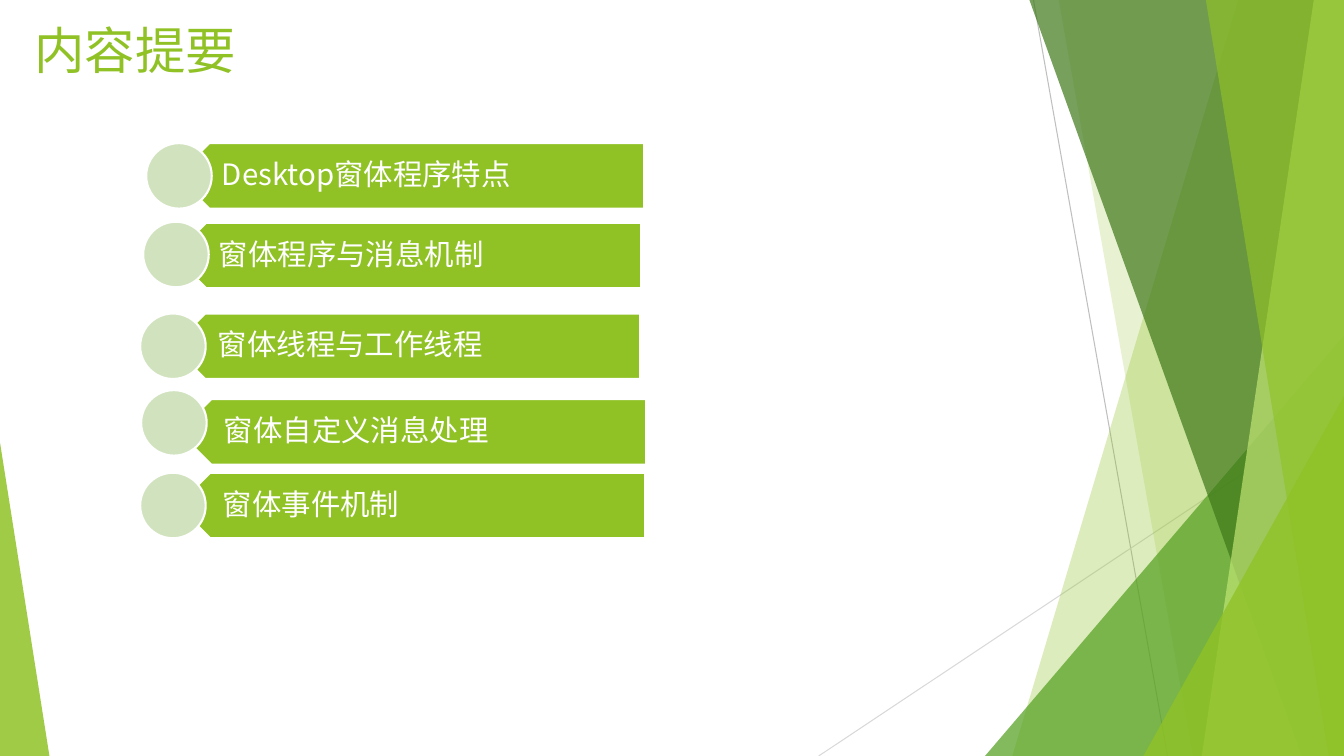
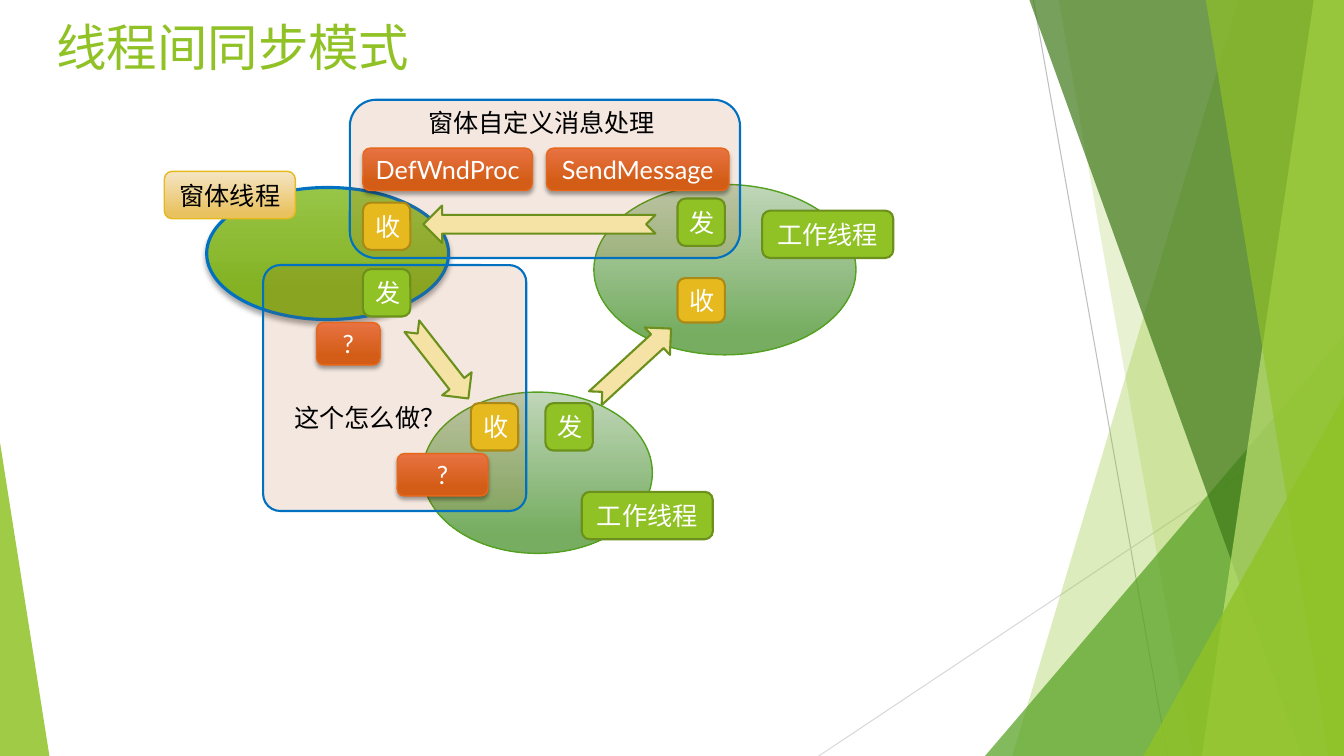
from lxml import etree
from pptx import Presentation
from pptx import util as u
from pptx.dml.color import RGBColor
from pptx.enum import shapes, text
from pptx.oxml.ns import qn

PX = 9144  # 100 px to the inch
WIDE, HIGH = 1333, 750
HAN, LATIN = "Noto Sans CJK SC", "Lato"
HUES = {
    "lime": "90C226", "grass": "54A021", "forest": "3F7819", "pale": "C0E474",
    "mint": "D1E3BE", "olive": "6B901C", "gold": "E6B91E", "bronze": "AA8916",
    "cream": "F5E3A5", "rust": "AD4C12", "flame": "E76618", "blue": "0070C0",
    "gray": "BFBFBF", "mist": "D9D9D9", "white": "FFFFFF", "black": "000000",
}
# Top colour, bottom colour, place of the bottom stop
FADES = {
    "leaf": ("C0D6B9", "76AD61", 0.88), "moss": ("97C547", "84B223", 0.78),
    "sand": ("F5E5C5", "E9C260", 0.88), "fire": ("E87242", "D35D16", 0.78),
}
KIND = shapes.MSO_SHAPE
MID = text.MSO_ANCHOR.MIDDLE
LEFT, CENTER = text.PP_ALIGN.LEFT, text.PP_ALIGN.CENTER


def rgb(hue):
    return RGBColor.from_string(HUES[hue])


def sub(node, tag, **attrs):
    return etree.SubElement(node, qn(tag), {k: str(v) for k, v in attrs.items()})


class Deck:
    def __init__(self):
        self.prs = Presentation()
        self.prs.slide_width, self.prs.slide_height = WIDE * PX, HIGH * PX
        self.slide = None

    def page(self, name, box):
        """Start a slide with the shared backdrop and its title."""
        self.slide = self.prs.slides.add_slide(self.prs.slide_layouts[5])
        self.decor()
        title = self.slide.shapes.title
        title.left, title.top, title.width, title.height = (n * PX for n in box)
        frame = title.text_frame
        frame.auto_size = text.MSO_AUTO_SIZE.NONE
        frame.vertical_anchor = text.MSO_ANCHOR.TOP
        self.words(frame, name, 36, "lime", LATIN, LEFT)

    def decor(self):
        self.rule((1025, 0), (1158, HIGH), "gray")
        self.rule((WIDE, 403), (812, HIGH), "mist")
        self.band(1228, 1004, "lime", 30)
        self.band(1050, 1183, "lime", 20)
        self.wedge((977, 333, 356, 417), 1, "grass", 72)
        self.band(1021, 1291, "forest", 70)
        self.band(1303, 1192, "pale", 70)
        self.band(1196, 1318, "lime", 65)
        self.wedge((1134, 393, 199, 357), 1, "lime", 80)
        self.wedge((0, 439, 49, 311), 0, "lime", 85)

    def rule(self, start, end, hue):
        line = self.slide.shapes.add_connector(
            shapes.MSO_CONNECTOR.STRAIGHT, *(n * PX for n in start + end))
        line.line.color.rgb = rgb(hue)
        line.line.width = u.Pt(0.75)
        sub(line._element.spPr, "a:effectLst")

    def band(self, top, foot, hue, alpha):
        """Fill from a slanted left edge to the right side of the slide."""
        pen = self.slide.shapes.build_freeform(top, 0, scale=PX)
        pen.add_line_segments([(WIDE, 0), (WIDE, HIGH), (foot, HIGH)])
        self.paint(pen.convert_to_shape(), hue, alpha)

    def wedge(self, box, apex, hue, alpha):
        self.shape(KIND.ISOSCELES_TRIANGLE, box, hue, alpha=alpha, adj=apex)

    def paint(self, shape, fill, alpha=None, line=None, width=1.5):
        shape.shadow.inherit = False
        if fill in FADES:
            shape.fill.gradient()
            shape.fill.gradient_angle = 270
            top, foot, place = FADES[fill]
            for stop, code, pos in zip(shape.fill.gradient_stops, (top, foot), (0, place)):
                stop.color.rgb = RGBColor.from_string(code)
                stop.position = pos
        else:
            shape.fill.solid()
            shape.fill.fore_color.rgb = rgb(fill)
        if alpha:
            code = shape._element.spPr.find(".//" + qn("a:srgbClr"))
            sub(code, "a:alpha", val=alpha * 1000)
        if line:
            shape.line.color.rgb = rgb(line)
            shape.line.width = u.Pt(width)
        else:
            shape.line.fill.background()

    def shape(self, kind, box, fill, line=None, width=1.5, alpha=None, adj=None, turn=0):
        item = self.slide.shapes.add_shape(kind, *(n * PX for n in box))
        if adj is not None:
            item.adjustments[0] = adj
        item.rotation = turn
        self.paint(item, fill, alpha, line, width)
        return item

    def shade(self, shape, blur, dist):
        effect = shape._element.spPr.find(qn("a:effectLst"))
        cast = sub(effect, "a:outerShdw", blurRad=u.Pt(blur), dist=u.Pt(dist),
                   dir=5400000, rotWithShape=0)
        sub(sub(cast, "a:srgbClr", val=HUES["black"]), "a:alpha", val=35000)

    def words(self, frame, words, size, hue, face=HAN, align=CENTER):
        para = frame.paragraphs[0]
        para.alignment = align
        run = para.add_run()
        run.text = words
        font = run.font
        font.size, font.name = u.Pt(size), face
        font.color.rgb = rgb(hue)
        sub(font._element, "a:ea", typeface=HAN)
        return para

    def label(self, words, box, size=18, hue="black"):
        item = self.slide.shapes.add_textbox(*(n * PX for n in box))
        item.text_frame.word_wrap = False
        return item.text_frame, self.words(item.text_frame, words, size, hue, align=LEFT)

    def tag(self, words, box, fill, line, width=1.5, hue="white", face=HAN):
        item = self.shape(KIND.ROUNDED_RECTANGLE, box, fill, line, width)
        item.text_frame.word_wrap = True
        item.text_frame.vertical_anchor = MID
        self.words(item.text_frame, words, 18, hue, face)
        return item

    def call(self, words, x, y, wide):
        item = self.tag(words, (x, y, wide, 42), "fire", "flame", 1, face=LATIN)
        self.shade(item, 3, 2)

    def send(self, x, y):
        self.tag("发", (x, y, 47, 47), "lime", "olive")

    def take(self, x, y, high=47):
        self.tag("收", (x, y, 47, high), "gold", "bronze")

    def work(self, x, y):
        self.tag("工作线程", (x, y, 130, 47), "lime", "olive")

    def arrow(self, x, y, wide, turn):
        self.shape(KIND.NOTCHED_RIGHT_ARROW, (x, y, wide, 37), "cream", "olive", turn=turn)

    def zone(self, box, adj=None):
        self.shape(KIND.ROUNDED_RECTANGLE, box, "rust", "blue", alpha=13, adj=adj)

    def topic(self, words, x, y, dot):
        """Draw a left-pointing bar with its words and a dot over the tip."""
        self.shape(KIND.PENTAGON, (x, y, 464, 65), "lime", "white", turn=180)
        frame, para = self.label(words, (x + 16, y, 448, 65), 21, "white")
        frame.word_wrap = True
        frame.vertical_anchor = MID
        frame.margin_left, frame.margin_right = 29 * PX, 16 * PX
        frame.margin_top = frame.margin_bottom = 9 * PX
        para.line_spacing = 0.9
        self.shape(KIND.OVAL, (*dot, 65, 65), "mint", "white")


def agenda(deck):
    deck.page("内容提要", (24, 14, 611, 78))
    for words, x, y, dot in [
        ("Desktop窗体程序特点", 175, 142, (145, 142)),
        ("窗体程序与消息机制", 172, 221, (142, 220)),
        ("窗体线程与工作线程", 171, 311, (139, 311)),
        ("窗体自定义消息处理", 177, 396, (140, 387)),
        ("窗体事件机制", 176, 469, (139, 469)),
    ]:
        deck.topic(words, x, y, dot)


def sync(deck):
    deck.page("线程间同步模式", (46, 11, 374, 74))
    deck.shape(KIND.OVAL, (419, 389, 228, 160), "leaf", "grass", 1)
    form = deck.shape(KIND.OVAL, (205, 186, 240, 131), "moss", "blue", 2.25)
    deck.shade(form, 4, 3)
    deck.zone((261, 263, 261, 244), 0.07)
    deck.shape(KIND.OVAL, (589, 183, 260, 169), "leaf", "grass", 1)
    deck.zone((347, 99, 387, 157))
    for spot in [(420, 204, 230, 180), (577, 342, 102, 317.4), (391, 341, 91, 52)]:
        deck.arrow(*spot)
    deck.work(756, 209)
    deck.work(577, 488)
    deck.tag("窗体线程", (163, 170, 130, 47), "sand", "gold", 1, "black")
    for spot in [(672, 197), (541, 400), (360, 267)]:
        deck.send(*spot)
    for spot in [(360, 201), (672, 276, 44), (467, 400)]:
        deck.take(*spot)
    for spot in [("SendMessage", 542, 147, 181), ("DefWndProc", 360, 147, 168),
                 ("?", 314, 320, 63), ("?", 394, 450, 90)]:
        deck.call(*spot)
    deck.label("窗体自定义消息处理", (415, 102, 247, 40))
    deck.label("这个怎么做？", (282, 394, 173, 40))


def main():
    deck = Deck()
    agenda(deck)
    sync(deck)
    deck.prs.save("out.pptx")


if __name__ == "__main__":
    main()
